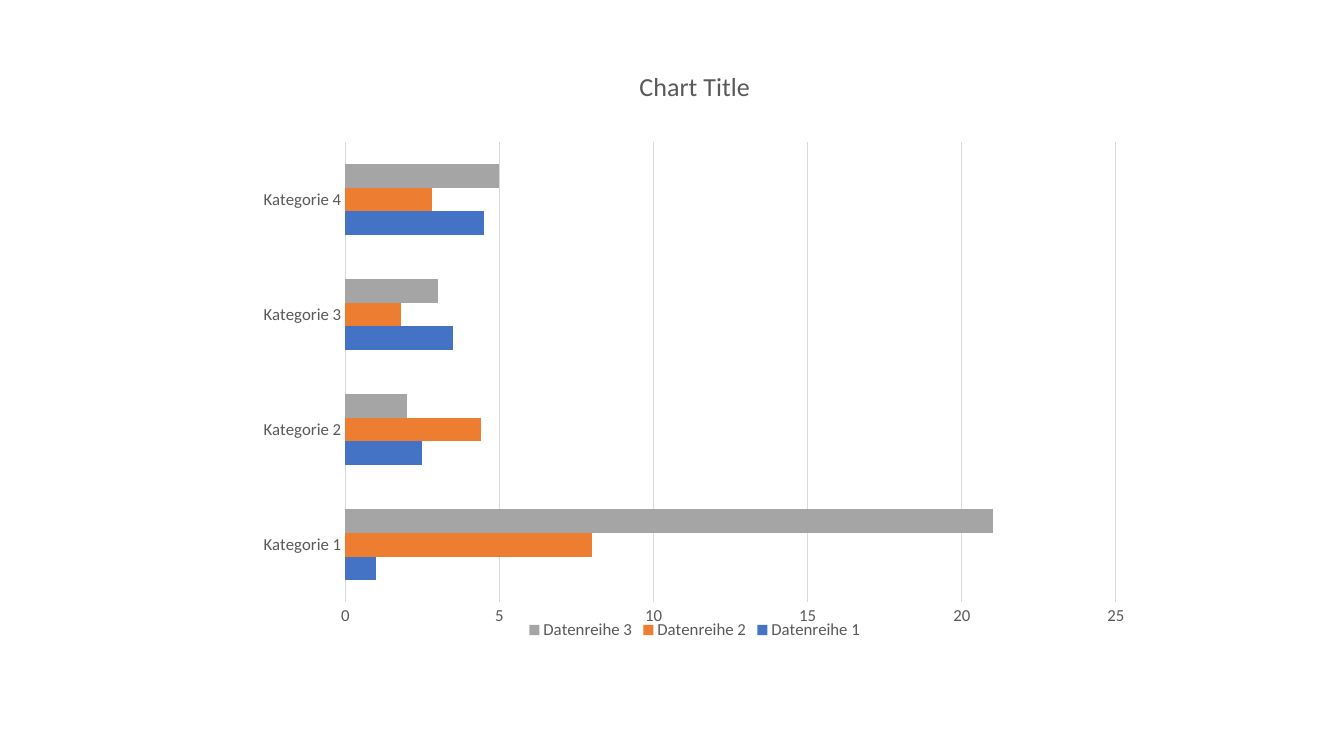
"""Build a slide with a clustered bar chart of three data series."""
import lxml.etree
import pptx
import pptx.chart.data
import pptx.dml.color
import pptx.enum.chart
import pptx.oxml.ns
import pptx.util

Cm = pptx.util.Cm
Pt = pptx.util.Pt


def color(hex_code):
    return pptx.dml.color.RGBColor.from_string(hex_code)


class SlideStyle:
    font_name = "Calibri"
    text_color = "595959"
    rule_color = "D9D9D9"

    def __init__(self, slide):
        self.slide = slide

    def format_font(self, font, size):
        font.name = self.font_name
        font.size = Pt(size)
        font.bold = False
        font.color.rgb = color(self.text_color)

    def format_rule(self, line):
        line.color.rgb = color(self.rule_color)
        line.width = Pt(0.75)

    def add_bars(self, categories, series, left, top, width, height):
        bar_data = pptx.chart.data.CategoryChartData()
        bar_data.categories = categories
        for name, values, _ in series:
            bar_data.add_series(name, values)
        chart = self.slide.shapes.add_chart(
            pptx.enum.chart.XL_CHART_TYPE.BAR_CLUSTERED,
            Cm(left), Cm(top), Cm(width), Cm(height), bar_data).chart
        self.format_font(chart.font, 12)
        bars = chart.plots[0]
        bars.gap_width = 182
        bars.vary_by_categories = False
        for bar_series, (_, _, fill_color) in zip(bars.series, series):
            bar_series.format.fill.solid()
            bar_series.format.fill.fore_color.rgb = color(fill_color)
        return chart

    def add_chart_title(self, chart, text):
        heading = chart.chart_title.text_frame.paragraphs[0].add_run()
        heading.text = text
        self.format_font(heading.font, 18.6)
        chart.chart_title.include_in_layout = False

    def add_legend(self, chart):
        chart.has_legend = True
        chart.legend.position = pptx.enum.chart.XL_LEGEND_POSITION.BOTTOM
        chart.legend.include_in_layout = False
        self.format_font(chart.legend.font, 12)

    def format_axes(self, chart, maximum, step):
        for axis in (chart.category_axis, chart.value_axis):
            axis.major_tick_mark = pptx.enum.chart.XL_TICK_MARK.NONE
            axis.minor_tick_mark = pptx.enum.chart.XL_TICK_MARK.NONE
            self.format_font(axis.tick_labels.font, 12)
        self.format_rule(chart.category_axis.format.line)
        scale = chart.value_axis
        scale.minimum_scale = 0
        scale.maximum_scale = maximum
        scale.major_unit = step
        scale.format.line.fill.background()
        scale.has_major_gridlines = True
        self.format_rule(scale.major_gridlines.format.line)

    def place_plot(self, chart, **bounds):
        qn = pptx.oxml.ns.qn
        plot_area = chart.plots[0]._element.getparent()
        for old_layout in plot_area.findall(qn("c:layout")):
            plot_area.remove(old_layout)
        layout = lxml.etree.Element(qn("c:layout"))
        plot_area.insert(0, layout)
        manual = lxml.etree.SubElement(layout, qn("c:manualLayout"))
        settings = {"layoutTarget": "inner", "xMode": "edge", "yMode": "edge", **bounds}
        for tag, value in settings.items():
            lxml.etree.SubElement(manual, qn("c:" + tag)).set("val", str(value))


deck = pptx.Presentation()
deck.slide_width = Cm(33.87)
deck.slide_height = Cm(19.05)
style = SlideStyle(deck.slides.add_slide(deck.slide_layouts[6]))

categories = [f"Kategorie {number}" for number in range(1, 5)]
series = [
    ("Datenreihe 1", (1, 2.5, 3.5, 4.5), "4472C4"),
    ("Datenreihe 2", (8, 4.4, 1.8, 2.8), "ED7D31"),
    ("Datenreihe 3", (21, 2, 3, 5), "A5A5A5"),
]
comparison = style.add_bars(categories, series, 6.22, 1.17, 22.58, 15.06)
style.add_chart_title(comparison, "Chart Title")
style.add_legend(comparison)
style.format_axes(comparison, maximum=25, step=5)
style.place_plot(comparison, x=0.11, y=0.16, w=0.86, h=0.77)

deck.save("out.pptx")
